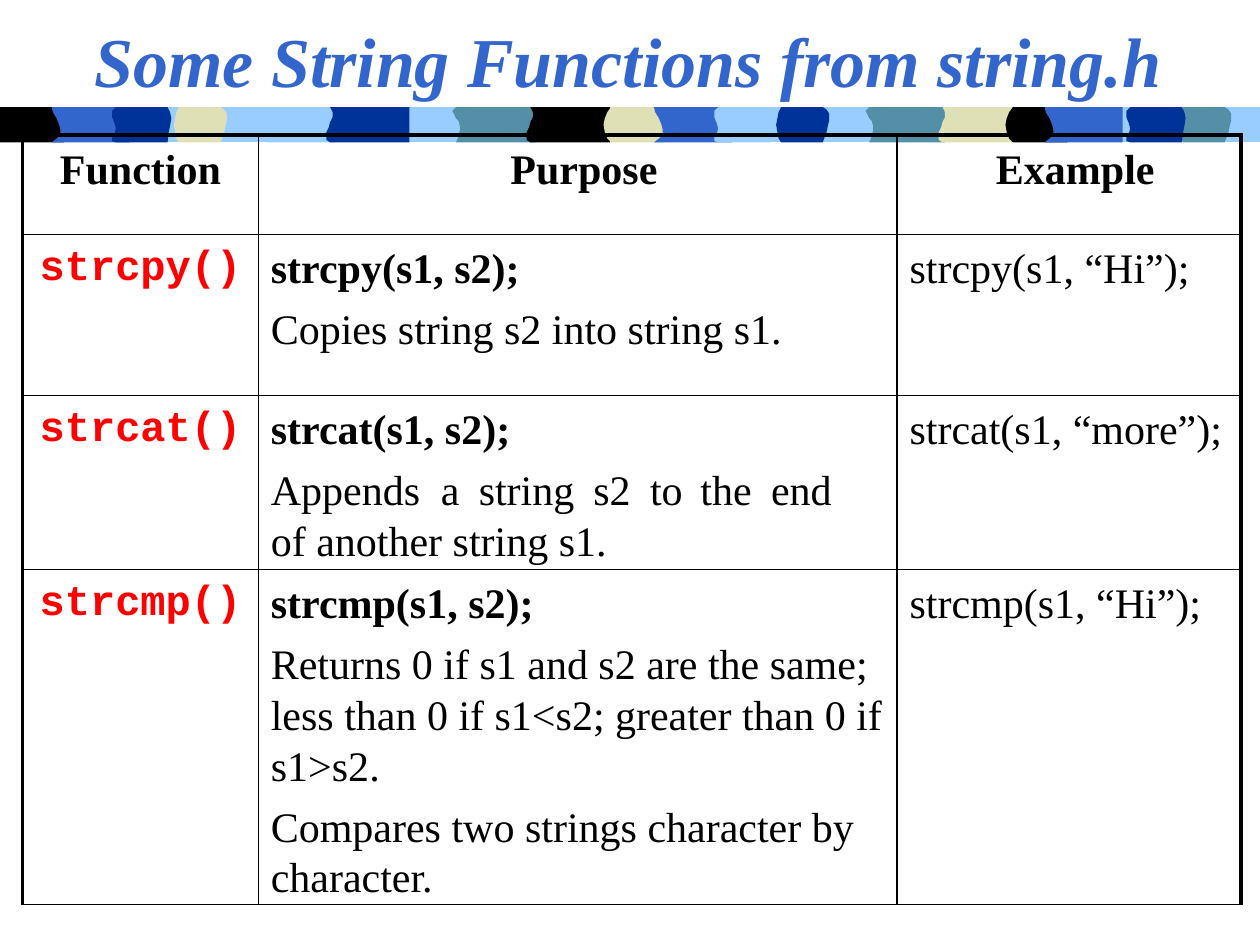
from dataclasses import dataclass

from lxml.etree import SubElement
from pptx import Presentation
from pptx.dml.color import RGBColor
from pptx.enum.text import MSO_ANCHOR, PP_ALIGN
from pptx.oxml.ns import qn
from pptx.util import Inches, Pt


@dataclass(frozen=True)
class Theme:
    serif: str = "Times New Roman"
    mono: str = "Courier New"
    title_size: int = 40
    body_size: int = 24
    line_pitch: int = 29
    para_gap: float = 5.8
    thin: float = 1
    thick: float = 2.25
    black: str = "000000"
    red: str = "FF0000"
    blue: str = "3366CC"
    navy: str = "003399"
    sky: str = "99CCFF"
    teal: str = "5390A8"
    sand: str = "E0E0B7"


T = Theme()
BAND_TOP = 0.85
STRAIGHT = [(0, 0), (0, 0.28)]
EDGES = {
    "drop": ([(0.04, 0), (0.02, 0.04), (0.01, 0.09), (0, 0.14), (0.01, 0.2), (0.02, 0.25), (0.04, 0.28)],
             [(-0.05, 0), (-0.02, 0.02), (0, 0.05), (0, 0.11), (-0.01, 0.15), (-0.02, 0.2), (-0.05, 0.28)]),
    "hook": ([(0.03, 0), (0.01, 0.02), (0, 0.03), (0.01, 0.05), (0.03, 0.09), (0.05, 0.11),
              (0.06, 0.15), (0.06, 0.18), (0.05, 0.23), (0.03, 0.28)], STRAIGHT),
    "wave": ([(0.03, 0), (0.05, 0.04), (0.05, 0.08), (0.03, 0.12), (0.02, 0.16), (0, 0.2),
              (0, 0.26), (0.03, 0.28)], STRAIGHT),
    "barrel": ([(0.06, 0), (0.03, 0.04), (0.01, 0.09), (0, 0.14), (0.01, 0.2), (0.03, 0.25), (0.06, 0.28)],
               [(0, 0), (-0.02, 0.08), (-0.03, 0.14), (-0.02, 0.19), (-0.01, 0.22), (0, 0.28)]),
    "bulge": ([(0, 0), (0.01, 0.04), (0.04, 0.09), (0.06, 0.14), (0.07, 0.18), (0.07, 0.21),
               (0.06, 0.23), (0.04, 0.25), (0, 0.28)], STRAIGHT),
    "flag": ([(0.03, 0), (0, 0.03), (0, 0.08), (0.02, 0.13), (0.03, 0.17), (0.02, 0.21),
              (0, 0.24), (0, 0.27), (0.03, 0.28)],
             [(-0.03, 0), (-0.01, 0.04), (0, 0.09), (-0.01, 0.15), (-0.02, 0.2), (-0.03, 0.28)]),
}
EDGES["block"] = (STRAIGHT, STRAIGHT)
EDGES["end"] = (STRAIGHT, EDGES["barrel"][1])

BAND = [
    ("block", 0.03, 9.97, T.sky),
    ("hook", 6.87, 0.63, T.teal), ("wave", 7.45, 0.58, T.sand),
    ("drop", 9.35, 0.42, T.teal), ("barrel", 7.98, 0.49, T.black),
    ("bulge", 8.29, 0.62, T.blue), ("flag", 8.94, 0.47, T.navy),
    ("hook", 3.59, 0.66, T.teal), ("wave", 4.18, 0.66, T.black),
    ("drop", 6.16, 0.42, T.navy), ("barrel", 4.79, 0.49, T.sand),
    ("bulge", 5.19, 0.62, T.blue), ("hook", 2.08, 0.57, T.sky),
    ("flag", 5.67, 0.47, T.sky), ("wave", 2.59, 0.66, T.navy),
    ("drop", 1.38, 0.42, T.sand), ("end", 0, 0.51, T.black),
    ("bulge", 0.41, 0.62, T.blue), ("flag", 0.89, 0.47, T.navy),
]

COLS = [0.18, 2.05, 7.12, 9.85]
ROWS = [1.07, 1.86, 3.14, 4.52, 7.18]
APPEND_TABS = [1.35, 1.65, 2.56, 3.01, 3.41, 3.97]
HEADER = ["Function", "Purpose", "Example"]
FUNCTIONS = [
    ("strcpy()", ["strcpy(s1, s2);", "Copies string s2 into string s1."], "strcpy(s1, “Hi”);"),
    ("strcat()", ["strcat(s1, s2);", "Appends\ta\tstring\ts2\tto\tthe\tend\vof another string s1."],
     "strcat(s1, “more”);"),
    ("strcmp()", ["strcmp(s1, s2);",
                  "Returns 0 if s1 and s2 are the same; less than 0 if s1<s2; greater than 0 if s1>s2.",
                  "Compares two strings character by character."], "strcmp(s1, “Hi”);"),
]


def write(p, text, size=T.body_size, font=T.serif, color=T.black, bold=False,
          italic=False, align=PP_ALIGN.LEFT, pitch=None, before=0, tabs=()):
    p.text = text
    p.alignment = align
    p.space_before = Pt(before)
    if pitch:
        p.line_spacing = Pt(pitch)
    if tabs:
        tab_list = SubElement(p._p.get_or_add_pPr(), qn("a:tabLst"))
        for pos in tabs:
            SubElement(tab_list, qn("a:tab"), pos=str(Inches(pos)), algn="l")
    for r in p.runs:
        f = r.font
        f.size, f.name, f.bold, f.italic = Pt(size), font, bold, italic
        f.color.rgb = RGBColor.from_string(color)


class Deck:
    def __init__(self, theme):
        self.theme = theme
        self.prs = Presentation()
        self.prs.slide_width, self.prs.slide_height = Inches(10), Inches(7.5)
        self.s = self.prs.slides.add_slide(self.prs.slide_layouts[5])

    def title(self, text):
        sp = self.s.shapes.title
        sp.left, sp.top, sp.width, sp.height = map(Inches, (0.75, 0.08, 8.51, 0.69))
        tf = sp.text_frame
        tf.margin_left = tf.margin_right = tf.margin_bottom = 0
        tf.margin_top = Inches(0.06)
        tf.vertical_anchor = MSO_ANCHOR.TOP
        tf.word_wrap = False
        write(tf.paragraphs[0], text, size=self.theme.title_size,
              color=self.theme.blue, bold=True, italic=True)

    def patch(self, kind, x, width, color):
        left, right = EDGES[kind]
        pts = [(x + dx, dy) for dx, dy in left]
        pts += [(x + width + dx, dy) for dx, dy in reversed(right)]
        pts = [(Inches(px), Inches(BAND_TOP + dy)) for px, dy in pts]
        fb = self.s.shapes.build_freeform(*pts[0])
        fb.add_line_segments(pts[1:])
        sp = fb.convert_to_shape()
        sp.shadow.inherit = False
        sp.fill.solid()
        sp.fill.fore_color.rgb = RGBColor.from_string(color)
        sp.line.fill.background()

    def table(self, xs, ys):
        frame = self.s.shapes.add_table(
            len(ys) - 1, len(xs) - 1, Inches(xs[0]), Inches(ys[0]),
            Inches(xs[-1] - xs[0]), Inches(ys[-1] - ys[0]))
        table = frame.table
        table.first_row = table.horz_banding = False
        for col, a, b in zip(table.columns, xs, xs[1:]):
            col.width = Inches(b - a)
        for row, a, b in zip(table.rows, ys, ys[1:]):
            row.height = Inches(b - a)
        return table

    def border(self, cell, side, width):
        ln = SubElement(cell._tc.get_or_add_tcPr(), qn(f"a:ln{side}"), w=str(Pt(width)))
        fill = SubElement(ln, qn("a:solidFill"))
        SubElement(fill, qn("a:srgbClr"), val=self.theme.black)

    def cell(self, table, row, col, paragraphs):
        t = self.theme
        cell = table.cell(row, col)
        widths = {"L": t.thick if col == 0 else t.thin,
                  "R": t.thick if col == len(table.columns) - 1 else t.thin,
                  "T": t.thick if row == 0 else t.thin, "B": t.thin}
        for side, width in widths.items():
            self.border(cell, side, width)
        cell.fill.background()
        cell.margin_left = Inches(0.1 if col else 0)
        cell.margin_right = cell.margin_bottom = 0
        cell.margin_top = Inches(0.06)
        cell.vertical_anchor = MSO_ANCHOR.TOP
        tf = cell.text_frame
        for i, (text, fmt) in enumerate(paragraphs):
            p = tf.add_paragraph() if i else tf.paragraphs[0]
            write(p, text, pitch=t.line_pitch, before=t.para_gap if i else 0, **fmt)


def main():
    deck = Deck(T)
    for piece in BAND:
        deck.patch(*piece)
    deck.title("Some String Functions from string.h")
    table = deck.table(COLS, ROWS)
    for col, name in enumerate(HEADER):
        deck.cell(table, 0, col, [(name, dict(bold=True, align=PP_ALIGN.CENTER))])
    for row, (name, purpose, example) in enumerate(FUNCTIONS, 1):
        deck.cell(table, row, 0, [(name, dict(font=T.mono, color=T.red, bold=True,
                                              align=PP_ALIGN.CENTER))])
        deck.cell(table, row, 1, [(text, dict(bold=i == 0, tabs=APPEND_TABS if "\t" in text else ()))
                                  for i, text in enumerate(purpose)])
        deck.cell(table, row, 2, [(example, {})])
    deck.prs.save("out.pptx")


if __name__ == "__main__":
    main()
